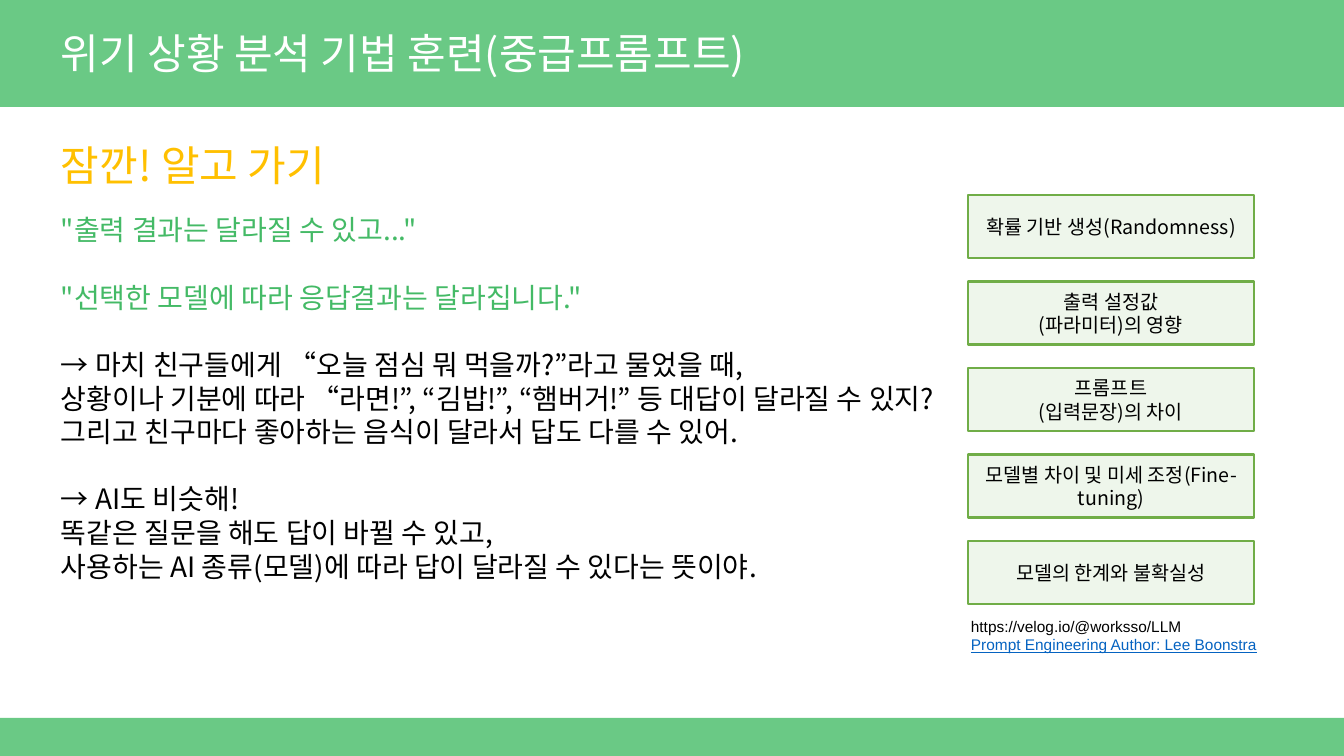
from lxml import etree
from pptx import Presentation
from pptx.dml.color import RGBColor
from pptx.enum.shapes import MSO_SHAPE
from pptx.enum.text import MSO_ANCHOR, PP_ALIGN
from pptx.oxml.ns import qn
from pptx.util import Pt

GREEN = RGBColor(0x6A, 0xC9, 0x85)
QUOTE_GREEN = RGBColor(0x44, 0xBA, 0x66)
PALE_GREEN = RGBColor(0xEE, 0xF6, 0xEB)
BORDER_GREEN = RGBColor(0x70, 0xAD, 0x47)
YELLOW = RGBColor(0xFF, 0xC0, 0x00)
BLUE = RGBColor(0x05, 0x63, 0xC1)
WHITE = RGBColor(0xFF, 0xFF, 0xFF)
BLACK = RGBColor(0, 0, 0)
KOREAN = "Noto Sans CJK KR"

BANDS = [(0, 0, 1344, 107), (0, 718, 1344, 38)]
HEADINGS = [
    ("위기 상황 분석 기법 훈련(중급프롬프트)", 22, WHITE),
    ("잠깐! 알고 가기", 134, YELLOW),
]
BODY = [
    (QUOTE_GREEN, ['"출력 결과는 달라질 수 있고..."']),
    (QUOTE_GREEN, ['"선택한 모델에 따라 응답결과는 달라집니다."']),
    (BLACK, [
        "→ 마치 친구들에게 “오늘 점심 뭐 먹을까?”라고 물었을 때,",
        "상황이나 기분에 따라 “라면!”, “김밥!”, “햄버거!” 등 대답이 달라질 수 있지?",
        "그리고 친구마다 좋아하는 음식이 달라서 답도 다를 수 있어.",
    ]),
    (BLACK, [
        "→ AI도 비슷해!",
        "똑같은 질문을 해도 답이 바뀔 수 있고,",
        "사용하는 AI 종류(모델)에 따라 답이 달라질 수 있다는 뜻이야.",
    ]),
]
CAUSES = [
    ["확률 기반 생성(Randomness)"],
    ["출력 설정값", "(파라미터)의 영향"],
    ["프롬프트", "(입력문장)의 차이"],
    ["모델별 차이 및 미세 조정(Fine-tuning)"],
    ["모델의 한계와 불확실성"],
]
SOURCES = [
    ("https://velog.io/@worksso/LLM", BLACK, False),
    ("Prompt Engineering Author: Lee Boonstra", BLUE, True),
]
CAUSE_LEFT, CAUSE_WIDTH, CAUSE_HEIGHT = 968, 286, 63
CAUSE_FIRST, CAUSE_LAST = 195, 541


def px(*lengths):
    return [round(length * 914400 / 100.8) for length in lengths]


def add_rectangle(page, place, fill, border=None):
    shape = page.shapes.add_shape(MSO_SHAPE.RECTANGLE, *px(*place))
    shape.shadow.inherit = False
    shape.fill.solid()
    shape.fill.fore_color.rgb = fill
    if border is None:
        shape.line.fill.background()
    else:
        shape.line.color.rgb = border
        shape.line.width = Pt(2)
    return shape


def add_text_box(page, place, wrap=True, anchor=MSO_ANCHOR.TOP):
    frame = page.shapes.add_textbox(*px(*place)).text_frame
    frame.word_wrap = wrap
    frame.vertical_anchor = anchor
    return frame


def write(frame, index, text, size, color, face=KOREAN, underline=None, **layout):
    para = frame.add_paragraph() if index else frame.paragraphs[0]
    for name, value in layout.items():
        setattr(para, name, value)
    span = para.add_run()
    span.text = text
    looks = {"name": face, "size": Pt(size), "underline": underline}
    for name, value in looks.items():
        setattr(span.font, name, value)
    span.font.color.rgb = color
    east_asian = etree.SubElement(span.font._element, qn("a:ea"))
    east_asian.set("typeface", face)


def main():
    deck = Presentation()
    deck.slide_width, deck.slide_height = px(1344, 756)
    page = deck.slides.add_slide(deck.slide_layouts[6])

    for band in BANDS:
        add_rectangle(page, band, GREEN)

    for text, top, color in HEADINGS:
        frame = add_text_box(page, (51, top, 1159, 67), anchor=MSO_ANCHOR.MIDDLE)
        write(frame, 0, text, 30, color, line_spacing=0.9)

    frame = add_text_box(page, (51, 208, 896, 383))
    index = 0
    for color, lines in BODY:
        for number, text in enumerate(lines):
            gap = Pt(24) if index and number == 0 else Pt(0)
            write(frame, index, text, 20, color, line_spacing=Pt(24), space_before=gap)
            index += 1

    pitch = (CAUSE_LAST - CAUSE_FIRST) / (len(CAUSES) - 1)
    for row, lines in enumerate(CAUSES):
        place = (CAUSE_LEFT, CAUSE_FIRST + row * pitch, CAUSE_WIDTH, CAUSE_HEIGHT)
        frame = add_rectangle(page, place, PALE_GREEN, BORDER_GREEN).text_frame
        frame.word_wrap = True
        frame.vertical_anchor = MSO_ANCHOR.MIDDLE
        for index, text in enumerate(lines):
            write(frame, index, text, 14, BLACK,
                  alignment=PP_ALIGN.CENTER, line_spacing=Pt(17))

    frame = add_text_box(page, (961, 612, 308, 47), wrap=False)
    for index, (text, color, underline) in enumerate(SOURCES):
        write(frame, index, text, 11, color, "Arial", underline)

    deck.save("out.pptx")


if __name__ == "__main__":
    main()
